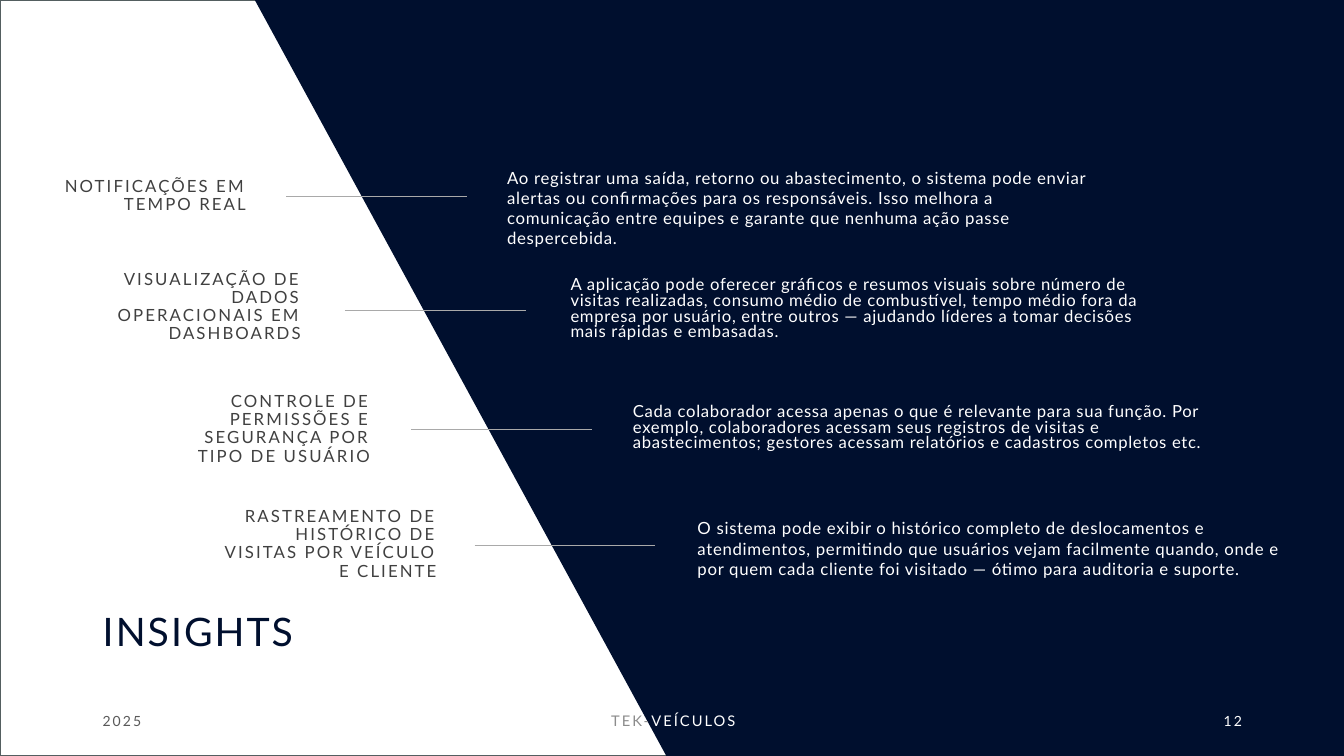
from lxml import etree
from pptx import Presentation
from pptx.dml.color import RGBColor
from pptx.enum.shapes import MSO_CONNECTOR, MSO_SHAPE
from pptx.enum.text import MSO_ANCHOR as ANCHOR, MSO_AUTO_SIZE, PP_ALIGN as ALIGN
from pptx.oxml.ns import qn
from pptx.util import Pt

NAVY = RGBColor(0x00, 0x0F, 0x2E)
WHITE = RGBColor(0xFF, 0xFF, 0xFF)
BORDER = RGBColor(0x53, 0x5E, 0x60)
RULE = RGBColor(0xA9, 0xA9, 0xA9)
LABEL = RGBColor(0x40, 0x40, 0x40)
YEAR = RGBColor(0x59, 0x59, 0x59)
FOOTER = RGBColor(0x8C, 0x8C, 0x8C)
WIDTH, HEIGHT = 960, 540


def place(sp, left, top, width, height):
    box = {"left": left, "top": top, "width": width, "height": height}
    for name, value in box.items():
        setattr(sp, name, Pt(value))
    return sp


def write(sp, runs, size, tracking, anchor=ANCHOR.TOP, align=ALIGN.LEFT, spacing=1.0):
    """Fill a shape with one paragraph of (text, colour) runs; tracking is in points."""
    tf = sp.text_frame
    frame = {"word_wrap": True, "auto_size": MSO_AUTO_SIZE.NONE, "vertical_anchor": anchor}
    for name, value in frame.items():
        setattr(tf, name, value)
    p = tf.paragraphs[0]
    layout = {"alignment": align, "line_spacing": spacing, "space_before": Pt(0)}
    for name, value in layout.items():
        setattr(p, name, value)
    pPr = p._p.get_or_add_pPr()
    pPr.set("marL", "0")
    pPr.set("indent", "0")
    etree.SubElement(pPr, qn("a:buNone"))
    for text, colour in runs:
        r = p.add_run()
        r.text = text
        for name, value in {"name": "Lato", "size": Pt(size), "bold": False}.items():
            setattr(r.font, name, value)
        r.font.color.rgb = colour
        r._r.get_or_add_rPr().set("spc", str(round(tracking * 100)))


prs = Presentation()
prs.slide_width, prs.slide_height = Pt(WIDTH), Pt(HEIGHT)
s = prs.slides.add_slide(prs.slide_layouts.get_by_name("Comparison"))

# Background: framed white page with a slanted navy area, behind the text
page = s.shapes.add_shape(MSO_SHAPE.RECTANGLE, 0, 0, Pt(WIDTH), Pt(HEIGHT))
page.fill.solid()
page.fill.fore_color.rgb = WHITE
page.line.color.rgb = BORDER
page.line.width = Pt(1)

outline = s.shapes.build_freeform(Pt(182), 0)
outline.add_line_segments([(Pt(WIDTH), 0), (Pt(WIDTH), Pt(HEIGHT)), (Pt(476), Pt(HEIGHT))])
slant = outline.convert_to_shape()
slant.fill.solid()
slant.fill.fore_color.rgb = NAVY
slant.line.fill.background()

for position, sp in enumerate((page, slant), start=2):
    sp.shadow.inherit = False
    s.shapes.element.insert(position, sp.element)

title = place(s.shapes.title, 66.2, 434.2, 321, 46)
write(title, [("INSIGHTS", NAVY)], 28, 1.5, spacing=0.9)

# Label, its left, top and height; rule left and y;
# description, its left, top, height, size and line spacing
INSIGHTS = [
    ("NOTIFICAÇÕES EM TEMPO REAL", 14.4, 120.2, 40.3, 204.5, 140.4,
     "Ao registrar uma saída, retorno ou abastecimento, o sistema pode enviar alertas ou "
     "confirmações para os responsáveis. Isso melhora a comunicação entre equipes e garante "
     "que nenhuma ação passe despercebida.", 355, 115.9, 48.2, 12, 1.0),
    ("VISUALIZAÇÃO DE DADOS OPERACIONAIS EM DASHBOARDS", 53.6, 199.4, 40.3, 246.4, 221.8,
     "A aplicação pode oferecer gráficos e resumos visuais sobre número de visitas realizadas, "
     "consumo médio de combustível, tempo médio fora da empresa por usuário, entre outros — "
     "ajudando líderes a tomar decisões mais rápidas e embasadas.", 400.3, 194.4, 54.7, 11.9, 0.8),
    ("CONTROLE DE PERMISSÕES E SEGURANÇA POR TIPO DE USUÁRIO", 103, 277.9, 57.6, 293.8, 306.7,
     "Cada colaborador acessa apenas o que é relevante para sua função. Por exemplo, "
     "colaboradores acessam seus registros de visitas e abastecimentos; gestores acessam "
     "relatórios e cadastros completos etc.", 444.9, 285.1, 43.2, 11.9, 0.8),
    ("RASTREAMENTO DE HISTÓRICO DE VISITAS POR VEÍCULO E CLIENTE", 150.5, 362.2, 53.3, 339.1, 389.5,
     "O sistema pode exibir o histórico completo de deslocamentos e atendimentos, permitindo "
     "que usuários vejam facilmente quando, onde e por quem cada cliente foi visitado — ótimo "
     "para auditoria e suporte.", 491, 366.5, 45.4, 12, 1.0),
]
bodies = [ph for ph in s.placeholders if ph.placeholder_format.idx > 0]
for body, insight in zip(bodies, INSIGHTS):
    (label, label_x, label_y, label_h, rule_x, rule_y,
     text, text_x, text_y, text_h, size, spacing) = insight

    tb = place(s.shapes.add_textbox(0, 0, 0, 0), label_x, label_y, 168.5, label_h)
    write(tb, [(label, LABEL)], 12, 1.5, ANCHOR.MIDDLE, ALIGN.RIGHT, 0.9)

    place(body, text_x, text_y, 436.3, text_h)
    write(body, [(text, WHITE)], size, 0.5, spacing=spacing)

    rule = s.shapes.add_connector(
        MSO_CONNECTOR.STRAIGHT, Pt(rule_x), Pt(rule_y), Pt(rule_x + 129), Pt(rule_y))
    rule.line.color.rgb = RULE
    rule.line.width = Pt(0.5)
    etree.SubElement(rule.element.spPr, qn("a:effectLst"))

FOOTERS = [
    ([("2025", YEAR)], 66.2, 216, 10, ALIGN.LEFT),
    ([("TEK-", FOOTER), ("VEÍCULOS", WHITE)], 319, 324, 10.5, ALIGN.CENTER),
    ([("12", WHITE)], 678.2, 216, 10, ALIGN.RIGHT),
]
for runs, left, width, size, align in FOOTERS:
    tb = place(s.shapes.add_textbox(0, 0, 0, 0), left, 500.4, width, 28.8)
    write(tb, runs, size, 1.5, ANCHOR.MIDDLE, align)

prs.save("out.pptx")
